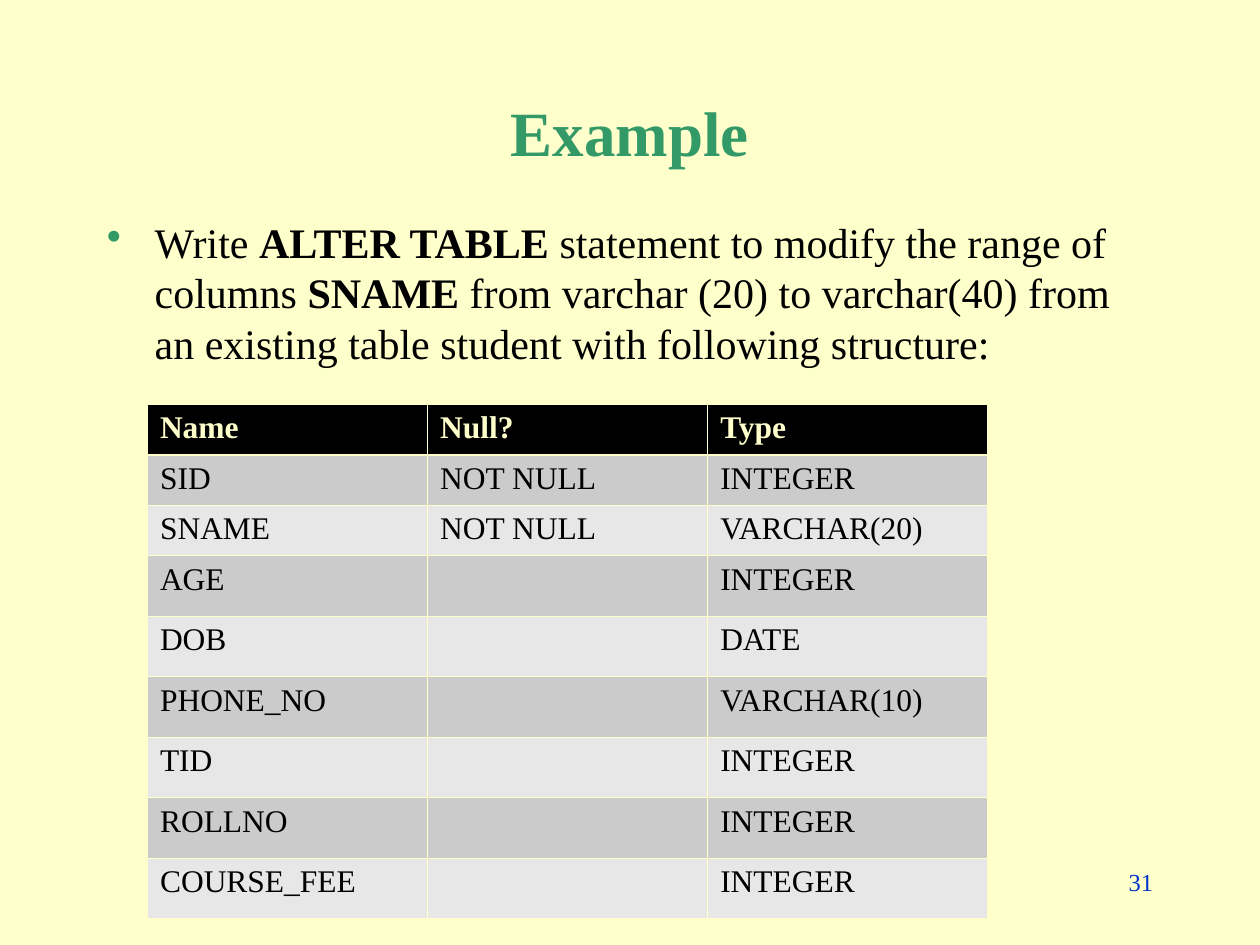
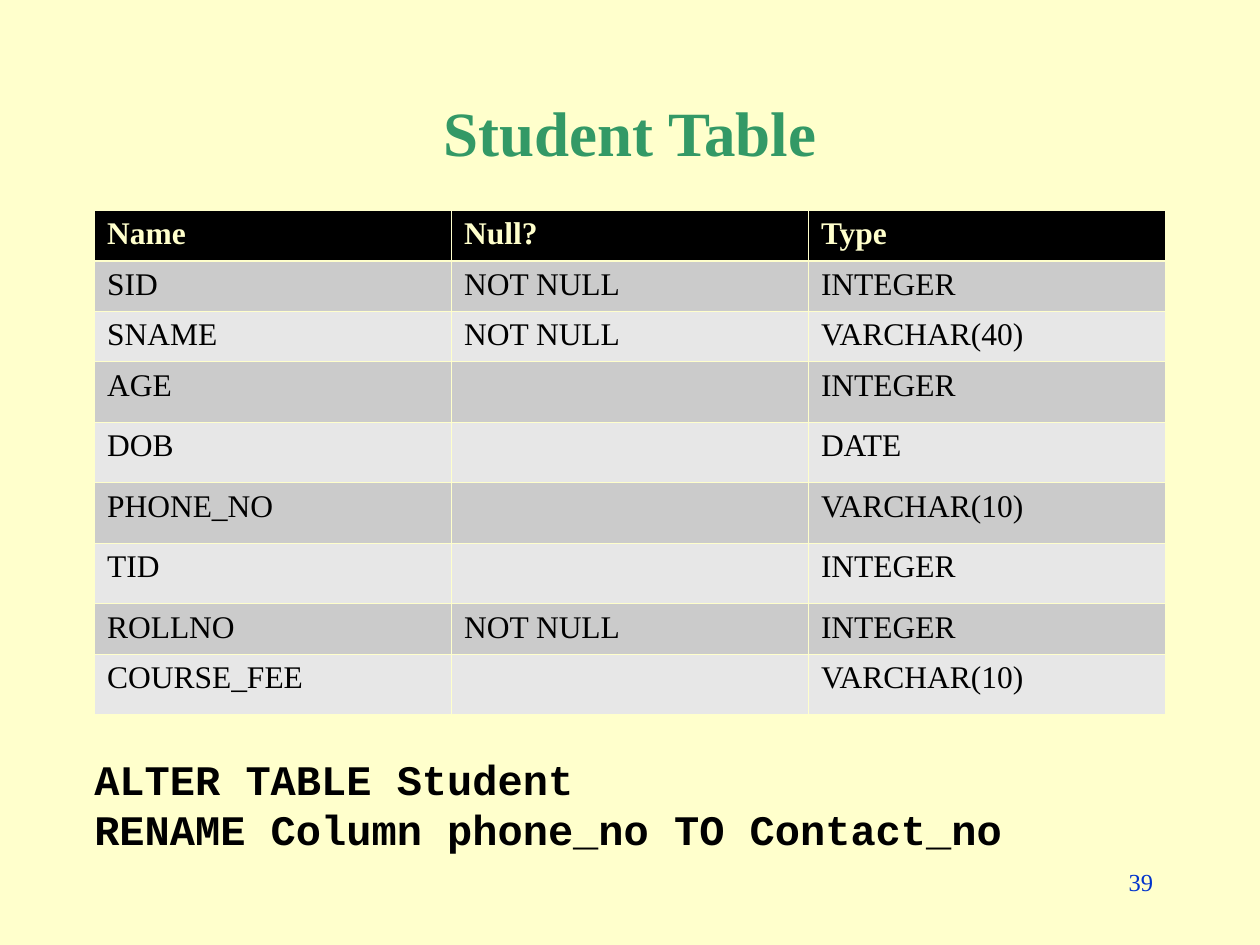
from dataclasses import dataclass

from lxml import etree
from pptx import Presentation
from pptx.dml.color import RGBColor
from pptx.enum.text import MSO_ANCHOR, PP_ALIGN
from pptx.oxml.ns import qn
from pptx.slide import Slide
from pptx.table import _Cell
from pptx.util import Inches, Pt

LEFT, CENTER, RIGHT = PP_ALIGN.LEFT, PP_ALIGN.CENTER, PP_ALIGN.RIGHT
TOP, MIDDLE = MSO_ANCHOR.TOP, MSO_ANCHOR.MIDDLE

COLORS = {
    "cream": "FFFFCC",
    "green": "339966",
    "blue": "0033CC",
    "black": "000000",
    "dark_band": "CBCBCB",
    "light_band": "E7E7E7",
}
SERIF, MONO = "Times New Roman", "Courier New"
THIN, THICK = Pt(0.5), Pt(1.5)
ROW_HEIGHT, OPEN_ROW_HEIGHT = Inches(0.4), Inches(0.48)
LINE_PITCH = Pt(28.8)

HEADER = ("Name", "Null?", "Type")
NOT_NULL = "NOT NULL"


@dataclass(frozen=True)
class Box:
    left: float
    top: float
    width: float
    height: float

    def lengths(self) -> list[Inches]:
        return [Inches(v) for v in (self.left, self.top, self.width, self.height)]


@dataclass(frozen=True)
class TextStyle:
    size: float
    color: str
    font: str = SERIF
    bold: bool | None = None
    align: PP_ALIGN = LEFT
    anchor: MSO_ANCHOR = TOP
    line_pitch: Pt | None = None
    bullet_color: str | None = None


@dataclass(frozen=True)
class Run:
    text: str
    bold: bool | None = None


@dataclass(frozen=True)
class StudentSchema:
    """The columns of the student table, where some details vary by slide."""
    sname_type: str
    rollno_null: str
    fee_type: str

    def rows(self) -> list[tuple[str, str, str]]:
        return [
            HEADER,
            ("SID", NOT_NULL, "INTEGER"),
            ("SNAME", NOT_NULL, self.sname_type),
            ("AGE", "", "INTEGER"),
            ("DOB", "", "DATE"),
            ("PHONE_NO", "", "VARCHAR(10)"),
            ("TID", "", "INTEGER"),
            ("ROLLNO", self.rollno_null, "INTEGER"),
            ("COURSE_FEE", "", self.fee_type),
        ]


TITLE_BOX = Box(0.75, 0.67, 8.5, 0.75)
NUMBER_BOX = Box(7.17, 6.83, 2.08, 0.5)

TITLE = TextStyle(36, "green", bold=True, align=CENTER, anchor=MIDDLE)
NUMBER = TextStyle(14, "blue", align=RIGHT)
TASK = TextStyle(24, "black", line_pitch=LINE_PITCH, bullet_color="green")
SQL = TextStyle(24, "black", MONO, bold=True, line_pitch=LINE_PITCH)
HEADER_CELL = TextStyle(18, "cream", bold=True)
BODY_CELL = TextStyle(18, "black")


def rgb(color: str) -> RGBColor:
    return RGBColor.from_string(COLORS[color])


def add_bullet(paragraph, color: str) -> None:
    properties = paragraph._p.get_or_add_pPr()
    properties.set("marL", str(Inches(0.38)))
    properties.set("indent", str(-Inches(0.38)))
    bullet_color = etree.SubElement(properties, qn("a:buClr"))
    etree.SubElement(bullet_color, qn("a:srgbClr"), val=COLORS[color])
    etree.SubElement(properties, qn("a:buChar"), char="•")


def style_paragraph(paragraph, style: TextStyle) -> None:
    paragraph.alignment = style.align
    if style.line_pitch:
        paragraph.line_spacing = style.line_pitch
    if style.bullet_color:
        add_bullet(paragraph, style.bullet_color)
    font = paragraph.font
    font.name, font.size, font.bold = style.font, Pt(style.size), style.bold
    font.color.rgb = rgb(style.color)


def add_text(slide: Slide, box: Box, style: TextStyle, lines: list[list[Run]]) -> None:
    frame = slide.shapes.add_textbox(*box.lengths()).text_frame
    frame.word_wrap = True
    frame.vertical_anchor = style.anchor
    for index, line in enumerate(lines):
        paragraph = frame.add_paragraph() if index else frame.paragraphs[0]
        style_paragraph(paragraph, style)
        for part in line:
            run = paragraph.add_run()
            run.text = part.text
            if part.bold is not None:
                run.font.bold = part.bold


def set_borders(cell: _Cell, top: Pt, bottom: Pt) -> None:
    properties = cell._tc.get_or_add_tcPr()
    for side, width in (("L", THIN), ("R", THIN), ("T", top), ("B", bottom)):
        border = etree.SubElement(properties, qn(f"a:ln{side}"), w=str(width))
        fill = etree.SubElement(border, qn("a:solidFill"))
        etree.SubElement(fill, qn("a:srgbClr"), val=COLORS["cream"])


def band_color(row: int) -> str:
    if row == 0:
        return "black"
    return "dark_band" if row % 2 else "light_band"


def add_schema_table(slide: Slide, box: Box, schema: StudentSchema) -> None:
    rows = schema.rows()
    table = slide.shapes.add_table(len(rows), len(HEADER), *box.lengths()).table
    table.horz_banding = False
    for row, values in enumerate(rows):
        table.rows[row].height = ROW_HEIGHT if all(values) else OPEN_ROW_HEIGHT
        for column, value in enumerate(values):
            cell = table.cell(row, column)
            set_borders(cell, THICK if row == 1 else THIN, THICK if row == 0 else THIN)
            cell.fill.solid()
            cell.fill.fore_color.rgb = rgb(band_color(row))
            cell.text = value
            style_paragraph(cell.text_frame.paragraphs[0], BODY_CELL if row else HEADER_CELL)


def add_page(prs, title: str, number: int) -> Slide:
    """Add a slide with the shared title and page number."""
    slide = prs.slides.add_slide(prs.slide_layouts[6])
    add_text(slide, TITLE_BOX, TITLE, [[Run(title)]])
    add_text(slide, NUMBER_BOX, NUMBER, [[Run(str(number))]])
    return slide


def build_example(prs) -> None:
    slide = add_page(prs, "Example", 31)
    add_text(slide, Box(0.75, 1.67, 8.5, 5), TASK, [[
        Run("Write "),
        Run("ALTER TABLE ", True),
        Run("statement to modify the range of columns "),
        Run("SNAME ", True),
        Run("from varchar (20) to varchar(40) from an existing table student "
            "with following structure:"),
    ]])
    add_schema_table(slide, Box(1.17, 3.21, 6.67, 3.65),
                     StudentSchema("VARCHAR(20)", "", "INTEGER"))


def build_student_table(prs) -> None:
    slide = add_page(prs, "Student Table", 39)
    add_schema_table(slide, Box(0.75, 1.67, 8.5, 3.65),
                     StudentSchema("VARCHAR(40)", NOT_NULL, "VARCHAR(10)"))
    add_text(slide, Box(0.65, 5.93, 7.6, 0.9), SQL, [
        [Run("ALTER TABLE Student")],
        [Run("RENAME Column phone_no TO Contact_no")],
    ])


def main() -> None:
    prs = Presentation()
    prs.slide_width, prs.slide_height = Inches(10), Inches(7.5)
    background = prs.slide_master.background.fill
    background.solid()
    background.fore_color.rgb = rgb("cream")
    build_example(prs)
    build_student_table(prs)
    prs.save("out.pptx")


if __name__ == "__main__":
    main()
